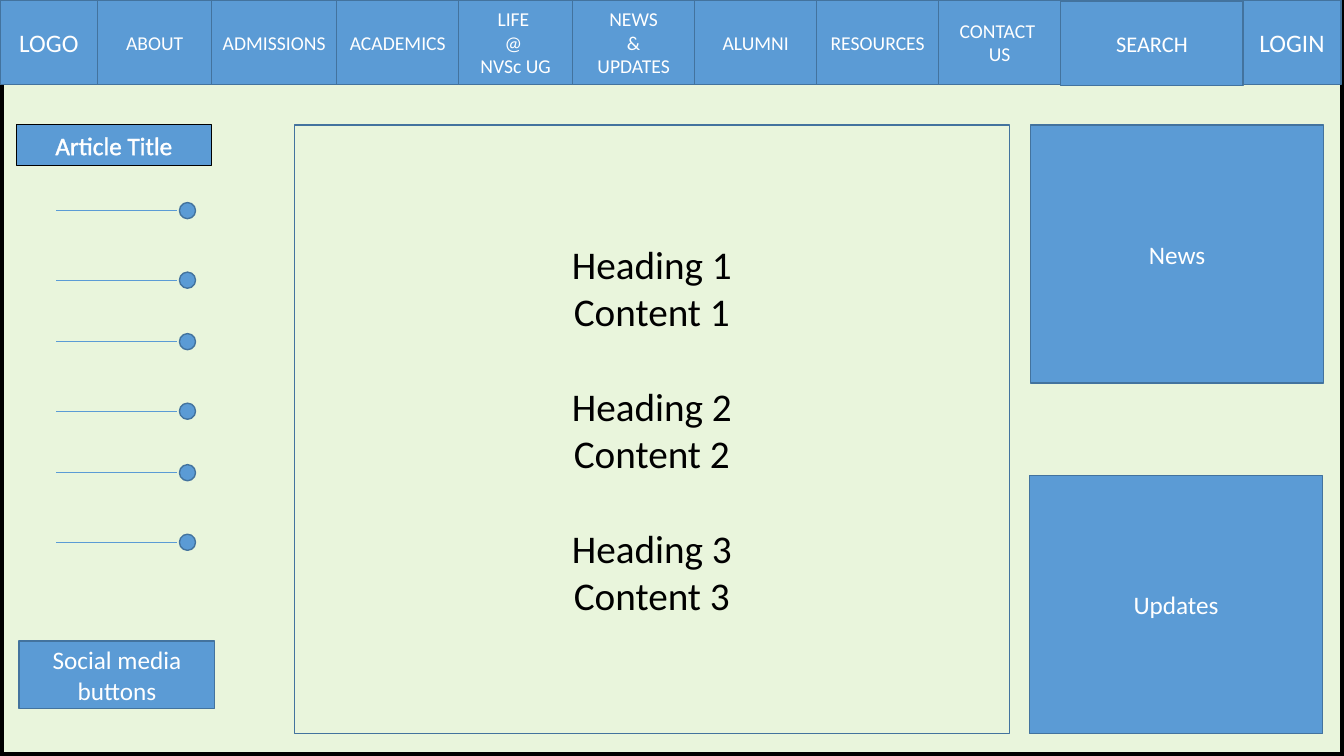
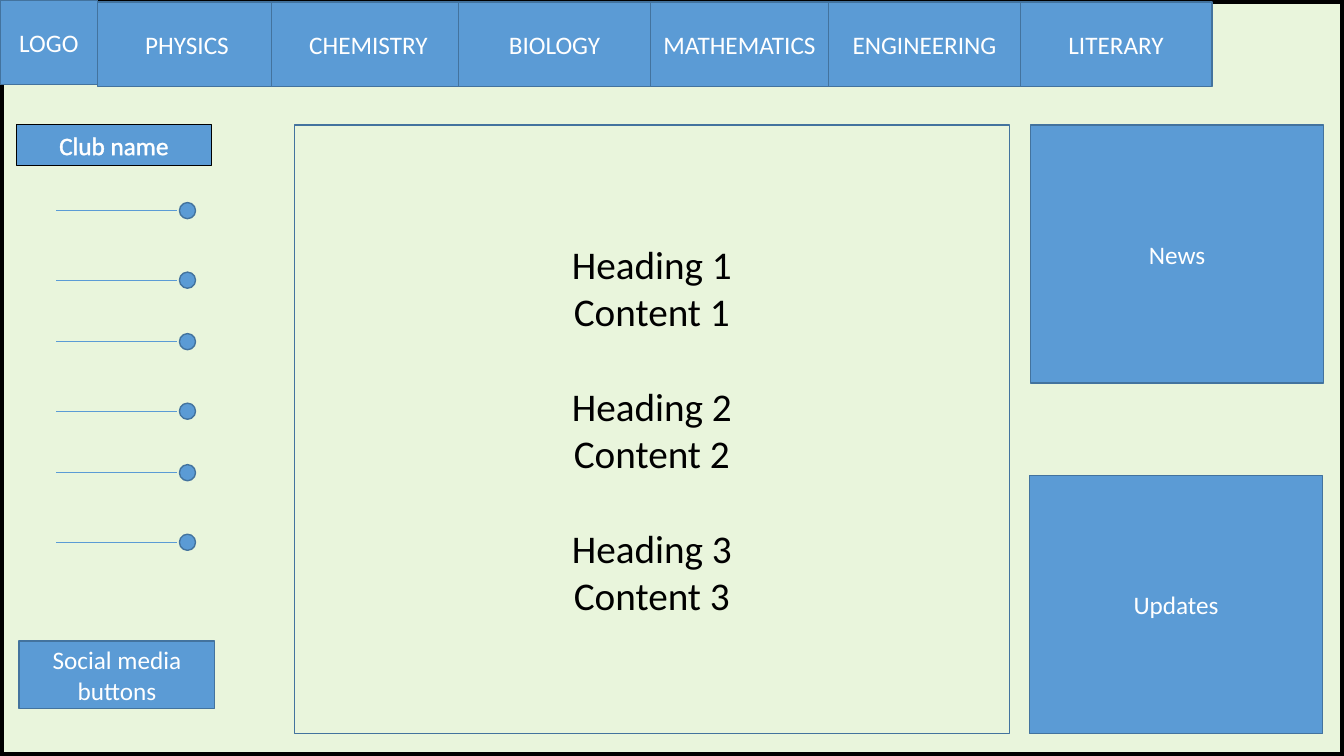
from dataclasses import dataclass

from lxml import etree
from pptx import Presentation
from pptx.dml.color import RGBColor
from pptx.enum.shapes import MSO_CONNECTOR, MSO_SHAPE
from pptx.enum.text import MSO_ANCHOR, MSO_AUTO_SIZE, PP_ALIGN
from pptx.oxml.ns import qn
from pptx.util import Inches, Pt

RECT, OVAL = MSO_SHAPE.RECTANGLE, MSO_SHAPE.OVAL
STRAIGHT = MSO_CONNECTOR.STRAIGHT
MIDDLE, TOP = MSO_ANCHOR.MIDDLE, MSO_ANCHOR.TOP
CENTER = PP_ALIGN.CENTER
GROW = MSO_AUTO_SIZE.SHAPE_TO_FIT_TEXT

COLORS = {"blue": "5B9BD5", "edge": "43739E", "green": "92D050",
          "black": "000000", "white": "FFFFFF"}
FONT = "Calibri"
SLIDE_W, SLIDE_H = 13.33, 7.5
BAR_H = 0.84
BODY_TOP, BODY_BOTTOM = 1.24, 7.28


@dataclass
class Tab:
    """One navigation tab; overlap is how far the next tab covers it."""
    label: str
    width: float
    size: int = 14
    drop: float = 0
    overlap: float = 0


LOGO = Tab("LOGO", 0.97, 18)
SITE_TABS = [
    LOGO, Tab("ABOUT", 1.13), Tab("ADMISSIONS", 1.24), Tab("ACADEMICS", 1.21),
    Tab("LIFE \n@ \nNVSc UG", 1.13), Tab("NEWS\n&\nUPDATES", 1.21),
    Tab("ALUMNI", 1.21), Tab("RESOURCES", 1.21), Tab("CONTACT \nUS", 1.21),
    Tab("SEARCH", 1.81, 16, 0.01), Tab("LOGIN", 0.97, 18),
]
CLUB_TABS = [LOGO] + [Tab(label, width, 18, 0.02, overlap) for label, width, overlap in (
    ("PHYSICS", 1.77, 0.05), ("CHEMISTRY", 1.93, 0.07), ("BIOLOGY", 1.9, 0),
    ("MATHEMATICS", 1.77, 0), ("ENGINEERING", 1.9, 0), ("LITERARY", 1.9, 0))]


def rgb(name):
    """Return a palette colour."""
    return RGBColor.from_string(COLORS[name])


def add_box(shapes, x, y, w, h, fill="blue", line="edge", weight=1, kind=RECT):
    """Add a filled and outlined preset shape."""
    sp = shapes.add_shape(kind, Inches(x), Inches(y), Inches(w), Inches(h))
    sp.shadow.inherit = False
    if fill:
        sp.fill.solid()
        sp.fill.fore_color.rgb = rgb(fill)
    else:
        sp.fill.background()
    sp.line.color.rgb = rgb(line)
    sp.line.width = Pt(weight)
    return sp


def add_run(p, text, size, color="white"):
    """Add one styled run to a paragraph."""
    r = p.add_run()
    r.text = text
    r.font.size = Pt(size)
    r.font.name = FONT
    r.font.color.rgb = rgb(color)
    return r


def add_label(sp, text, size=18, anchor=MIDDLE):
    """Write a centred label, with line breaks, and return its last run."""
    tf = sp.text_frame
    tf.word_wrap = True
    tf.vertical_anchor = anchor
    p = tf.paragraphs[0]
    p.alignment = CENTER
    for i, part in enumerate(text.split("\n")):
        if i:
            p.add_line_break()
        r = add_run(p, part, size)
    return r


def add_backdrop(s):
    """Cover the slide with a pale green panel in a black frame."""
    sp = add_box(s.shapes, 0, 0, SLIDE_W, SLIDE_H, "green", "black", 6)
    color = sp.fill._xPr.find(qn("a:solidFill")).find(qn("a:srgbClr"))
    etree.SubElement(color, qn("a:alpha"), val="20000")


def add_content(s, x, y, w, h):
    """Add the main panel with three heading and content pairs."""
    tf = add_box(s.shapes, x, y, w, h, fill=None).text_frame
    tf.word_wrap = True
    tf.vertical_anchor = MIDDLE
    for n in range(1, 4):
        for word in ("Heading", "Content"):
            first = n == 1 and word == "Heading"
            p = tf.paragraphs[0] if first else tf.add_paragraph()
            p.alignment = CENTER
            if word == "Heading" and not first:
                p.space_before = Pt(34)
            add_run(p, f"{word} {n}", 28, "black")


def add_navigation(s, tabs):
    """Lay the tabs edge to edge from the left of the slide."""
    bar = s.shapes.add_group_shape().shapes
    x = 0
    for tab in tabs:
        add_label(add_box(bar, x, tab.drop, tab.width, BAR_H), tab.label, tab.size)
        x += tab.width - tab.overlap


def add_timeline(s, x, y):
    """Add three pairs of lines, each line ending in a dot."""
    length, gap, dot = 1.2, 0.02, 0.16
    for pair in range(3):
        shapes = s.shapes.add_group_shape().shapes
        for step in range(2):
            cy = y + 1.3 * pair + 0.69 * step
            line = shapes.add_connector(STRAIGHT, Inches(x), Inches(cy),
                                        Inches(x + length), Inches(cy))
            line.line.color.rgb = rgb("blue")
            line.line.width = Pt(0.5)
            etree.SubElement(line._element.spPr, qn("a:effectLst"))
            add_box(shapes, x + length + gap, cy - dot / 2, dot, dot, kind=OVAL)


def add_title(s, x, y, w, h, text):
    """Add the page title with outlined letters."""
    sp = add_box(s.shapes, x, y, w, h, line="black", weight=0.75)
    r = add_label(sp, text, anchor=TOP)
    sp.text_frame.auto_size = GROW
    ln = etree.Element(qn("a:ln"), w=str(Pt(0.75)))
    fill = etree.SubElement(ln, qn("a:solidFill"))
    etree.SubElement(fill, qn("a:srgbClr"), val=COLORS["white"])
    r.font._element.insert(0, ln)


def add_page(prs, title, tabs):
    """Build a page: content, side panels, navigation and timeline."""
    s = prs.slides.add_slide(prs.slide_layouts[6])
    add_backdrop(s)
    add_content(s, 2.92, BODY_TOP, 7.09, BODY_BOTTOM - BODY_TOP)
    panel_w, panel_h = 2.91, 2.56
    for text, x, y, w, h in (
            ("Social media buttons", 0.19, 6.36, 1.94, 0.67),
            ("News", 10.22, BODY_TOP, panel_w, panel_h),
            ("Updates", 10.21, BODY_BOTTOM - panel_h, panel_w, panel_h)):
        add_label(add_box(s.shapes, x, y, w, h), text)
    add_navigation(s, tabs)
    add_timeline(s, 0.56, 2.09)
    add_title(s, 0.16, BODY_TOP, 1.94, 0.4, title)


prs = Presentation()
prs.slide_width, prs.slide_height = Inches(SLIDE_W), Inches(SLIDE_H)
add_page(prs, "Article Title", SITE_TABS)
add_page(prs, "Club name", CLUB_TABS)
prs.save("out.pptx")
